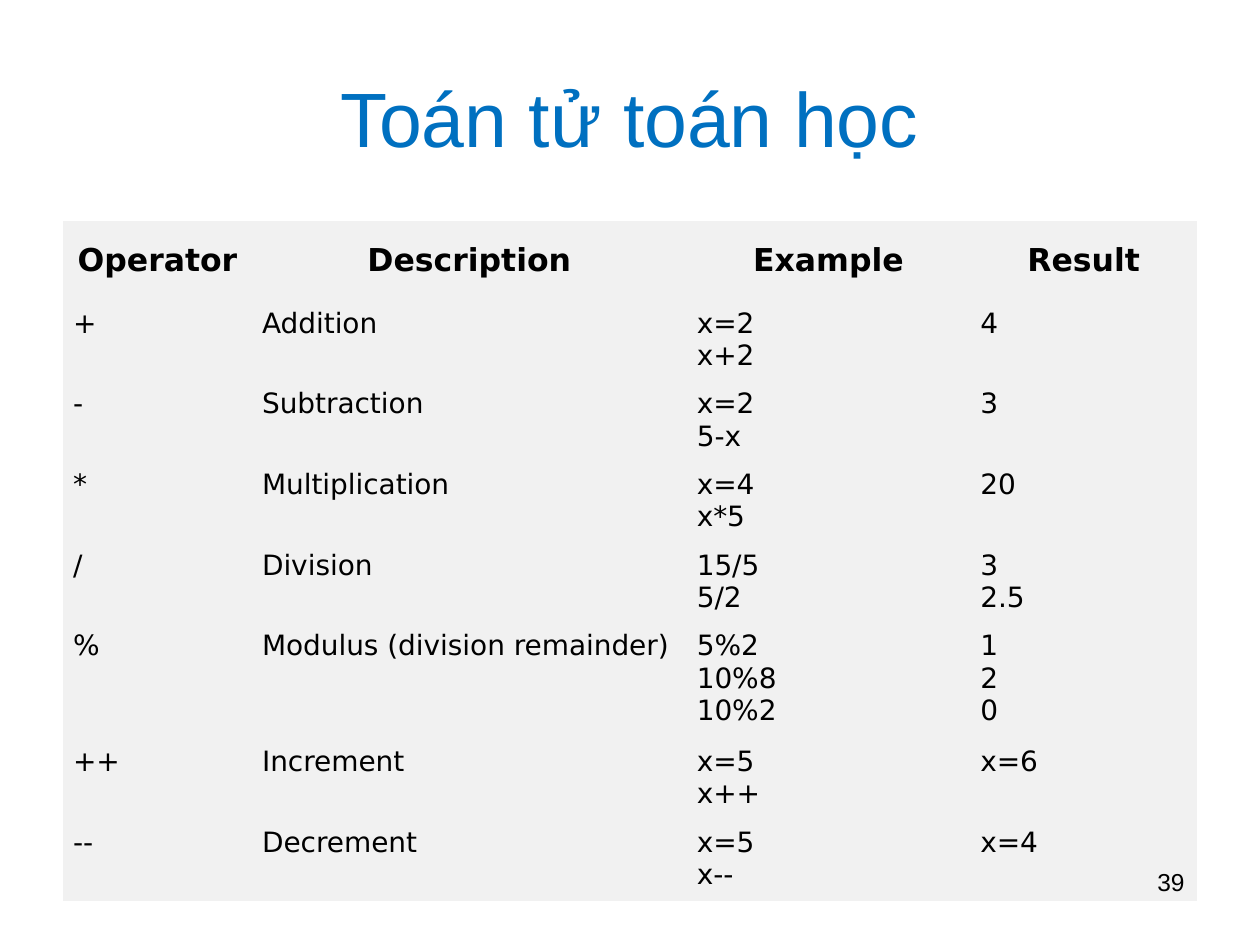
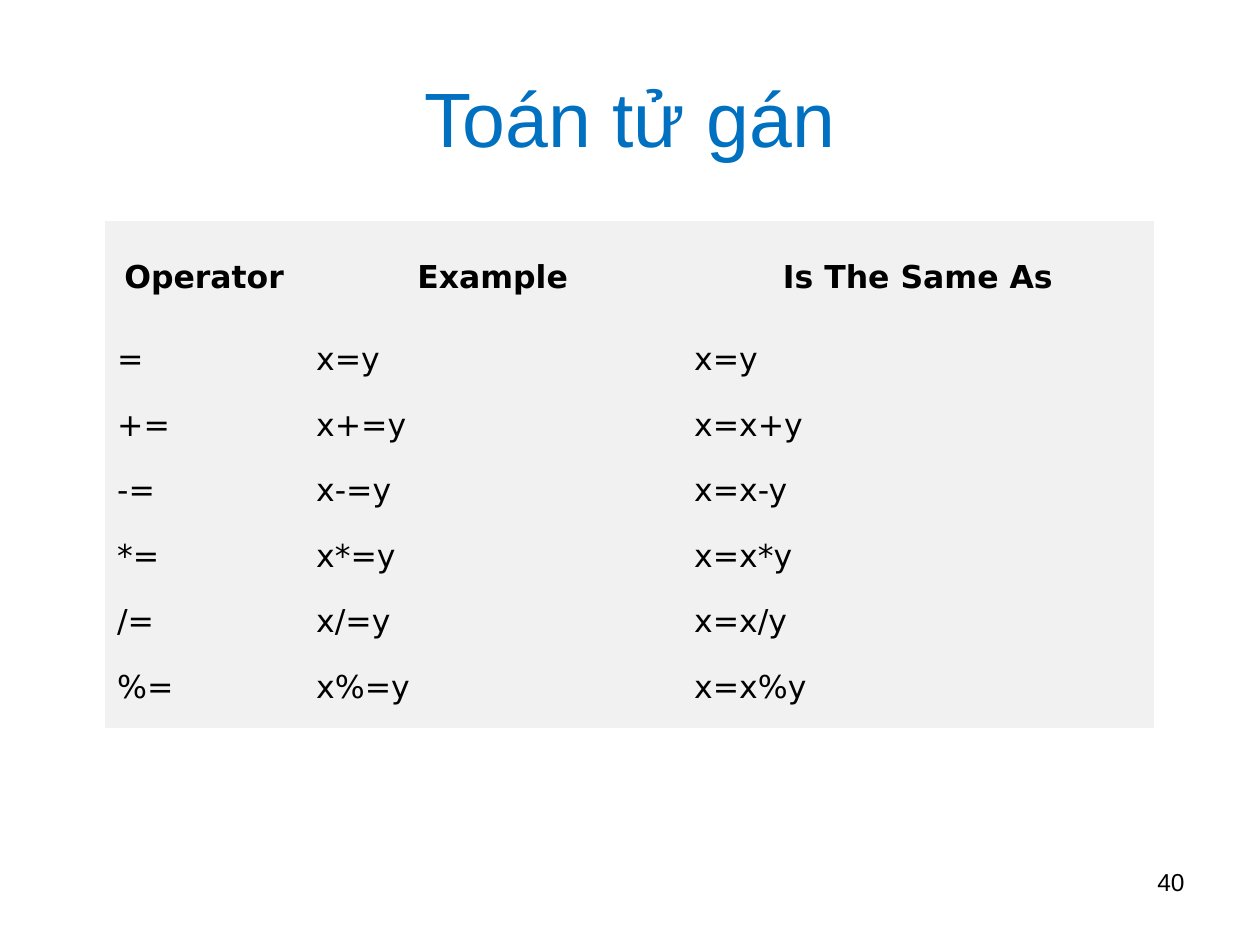
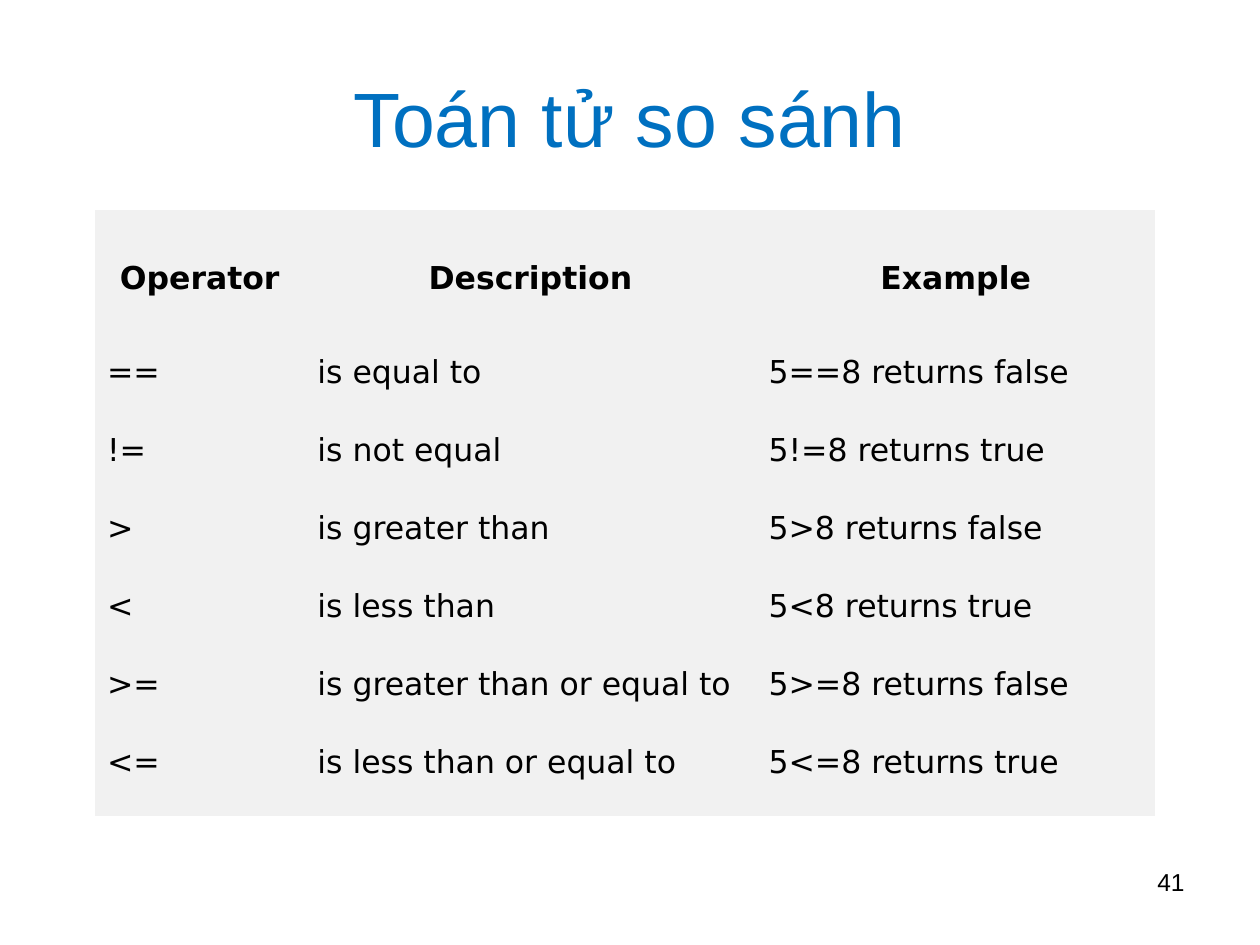
from copy import deepcopy

from pptx import Presentation
from pptx.dml.color import RGBColor
from pptx.enum import text
from pptx.oxml.ns import qn
from pptx.util import Inches, Pt

BLUE, BLACK, PALE_GREY = "0070C0", "000000", "F1F1F1"
TITLE_BOX = (0.5, 0.3, 9, 1.25)
NUMBER_BOX = (7.17, 6.83, 2.33, 0.52)
FIRST_NUMBER = 39
HEADER_SIZE = 18
NO_STYLE_NO_GRID = "{2D5ABB26-0587-4C30-8999-92F81FD0307C}"

LESSONS = [
    {
        "title": "Toán tử toán học",
        "corner": (0.5, 1.75),
        "columns": (1.5, 3.45, 2.25, 1.8),
        "heights": [0.64] * 5 + [0.92] + [0.64] * 2,
        "side_margin": 0.08,
        "body_size": 16,
        "rows": [
            ("Operator", "Description", "Example", "Result"),
            ("+", "Addition", "x=2\vx+2", "4"),
            ("-", "Subtraction", "x=2\v5-x", "3"),
            ("*", "Multiplication", "x=4\vx*5", "20"),
            ("/", "Division", "15/5\v5/2", "3\v2.5"),
            ("%", "Modulus (division remainder)", "5%2\v10%8\v10%2", "1\v2\v0"),
            ("++", "Increment", "x=5\vx++", "x=6"),
            ("--", "Decrement", "x=5\vx--", "x=4"),
        ],
    },
    {
        "title": "Toán tử gán",
        "corner": (0.83, 1.75),
        "columns": (1.58, 3, 3.75),
        "heights": [0.91] + [0.52] * 6,
        "side_margin": 0.1,
        "body_size": 18,
        "rows": [
            ("Operator", "Example", "Is The Same As"),
            ("=", "x=y", "x=y"),
            ("+=", "x+=y", "x=x+y"),
            ("-=", "x-=y", "x=x-y"),
            ("*=", "x*=y", "x=x*y"),
            ("/=", "x/=y", "x=x/y"),
            ("%=", "x%=y", "x=x%y"),
        ],
    },
    {
        "title": "Toán tử so sánh",
        "corner": (0.75, 1.67),
        "columns": (1.67, 3.58, 3.17),
        "heights": [1.09] + [0.62] * 6,
        "side_margin": 0.1,
        "body_size": 18,
        "rows": [
            ("Operator", "Description", "Example"),
            ("==", "is equal to", "5==8 returns false"),
            ("!=", "is not equal", "5!=8 returns true"),
            (">", "is greater than", "5>8 returns false"),
            ("<", "is less than", "5<8 returns true"),
            (">=", "is greater than or equal to", "5>=8 returns false"),
            ("<=", "is less than or equal to", "5<=8 returns true"),
        ],
    },
]


def rgb(color):
    return RGBColor.from_string(color)


def write(frame, words, size, font="Arial", color=BLACK, bold=False,
          align=text.PP_ALIGN.LEFT):
    """Fill a text frame with one paragraph; line breaks take the run format."""
    frame.text = words
    paragraph = frame.paragraphs[0]
    paragraph.alignment = align
    for run in paragraph.runs:
        run.font.name = font
        run.font.size = Pt(size)
        run.font.bold = bold
        run.font.color.rgb = rgb(color)
    for line_break in paragraph._p.findall(qn("a:br")):
        line_break.append(deepcopy(paragraph.runs[0]._r.rPr))


def add_label(slide, box, words, size, color, align, anchor):
    frame = slide.shapes.add_textbox(*map(Inches, box)).text_frame
    frame.word_wrap = True
    frame.vertical_anchor = anchor
    write(frame, words, size, color=color, align=align)


def add_operator_table(slide, lesson):
    rows, columns, heights = lesson["rows"], lesson["columns"], lesson["heights"]
    box = (*lesson["corner"], sum(columns), sum(heights))
    table = slide.shapes.add_table(len(rows), len(columns), *map(Inches, box)).table
    table._tbl.tblPr.find(qn("a:tableStyleId")).text = NO_STYLE_NO_GRID
    table.horz_banding = False
    for column, width in zip(table.columns, columns):
        column.width = Inches(width)
    for r, (row, height) in enumerate(zip(rows, heights)):
        table.rows[r].height = Inches(height)
        header = r == 0
        for c, words in enumerate(row):
            cell = table.cell(r, c)
            cell.fill.solid()
            cell.fill.fore_color.rgb = rgb(PALE_GREY)
            cell.margin_left = cell.margin_right = Inches(lesson["side_margin"])
            cell.vertical_anchor = text.MSO_ANCHOR.MIDDLE if header else text.MSO_ANCHOR.TOP
            write(cell.text_frame, words,
                  HEADER_SIZE if header else lesson["body_size"],
                  font="DejaVu Sans", bold=header,
                  align=text.PP_ALIGN.CENTER if header else text.PP_ALIGN.LEFT)


def main():
    deck = Presentation()
    deck.slide_width, deck.slide_height = Inches(10), Inches(7.5)
    for number, lesson in enumerate(LESSONS, FIRST_NUMBER):
        slide = deck.slides.add_slide(deck.slide_layouts[6])
        add_label(slide, TITLE_BOX, lesson["title"], 44, BLUE,
                  text.PP_ALIGN.CENTER, text.MSO_ANCHOR.MIDDLE)
        add_operator_table(slide, lesson)
        add_label(slide, NUMBER_BOX, str(number), 14, BLACK,
                  text.PP_ALIGN.RIGHT, text.MSO_ANCHOR.TOP)
    deck.save("out.pptx")


if __name__ == "__main__":
    main()
